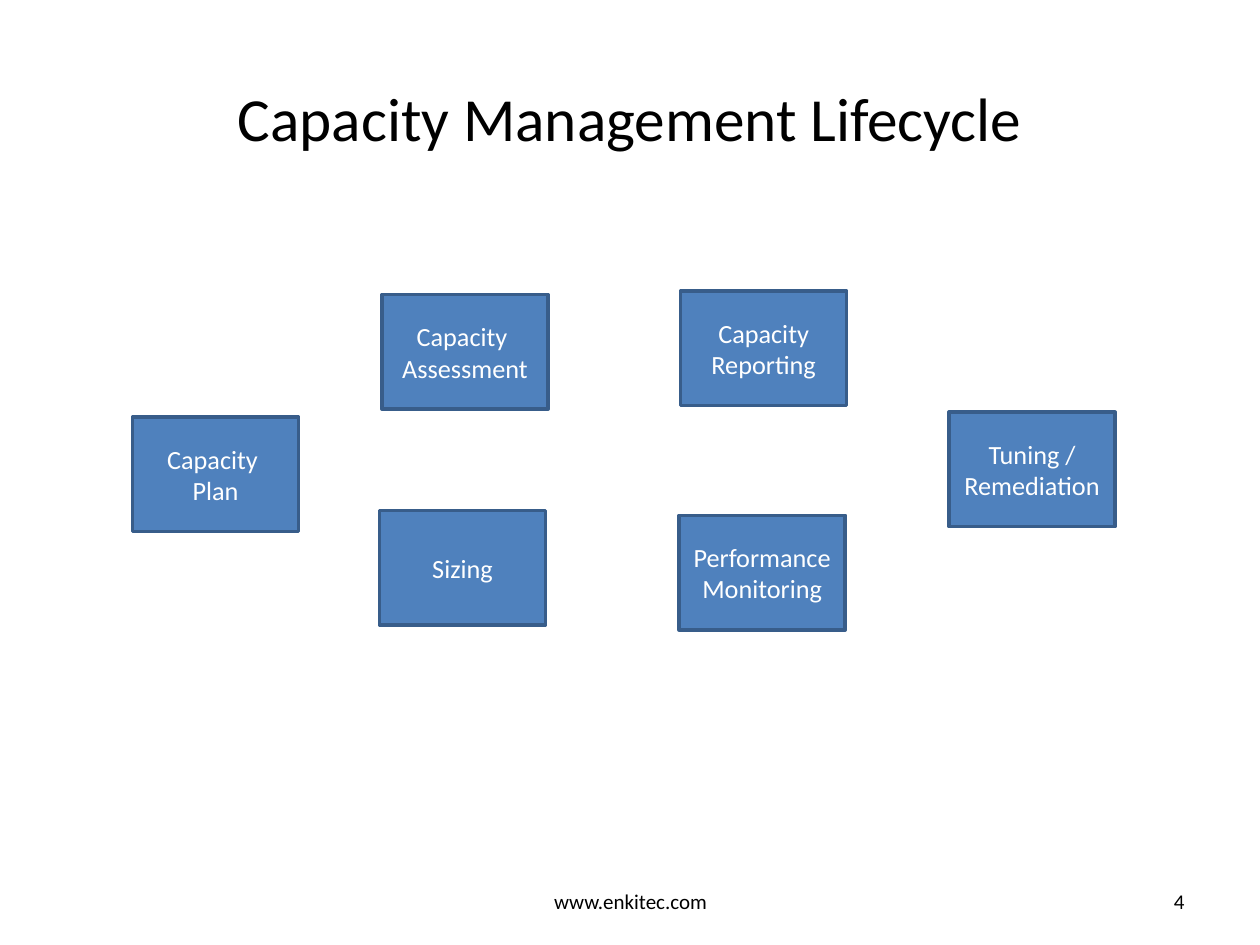
from dataclasses import dataclass

from pptx import Presentation
from pptx.dml.color import RGBColor
from pptx.enum.shapes import MSO_SHAPE
from pptx.enum.text import MSO_ANCHOR, PP_ALIGN
from pptx.util import Cm, Pt

RECTANGLE = MSO_SHAPE.RECTANGLE
MIDDLE = MSO_ANCHOR.MIDDLE
CENTER, RIGHT = PP_ALIGN.CENTER, PP_ALIGN.RIGHT

TITLE_ONLY = 5
STAGE_WIDTH, STAGE_HEIGHT = Cm(3.35), Cm(2.31)
FOOTER_TOP, FOOTER_HEIGHT = Cm(17.65), Cm(1.02)


@dataclass
class Stage:
    left: float
    top: float
    lines: list[str]


@dataclass
class FooterItem:
    left: float
    width: float
    text: str
    align: PP_ALIGN


STAGES = [
    Stage(2.67, 8.41, ["Capacity ", "Plan"]),
    Stage(13.72, 5.87, ["Capacity Reporting"]),
    Stage(7.70, 5.94, ["Capacity ", "Assessment"]),
    Stage(7.65, 10.29, ["Sizing"]),
    Stage(13.69, 10.39, ["Performance ", "Monitoring"]),
    Stage(19.13, 8.31, ["Tuning / Remediation"]),
]
FOOTER = [
    FooterItem(8.69, 8.05, "www.enkitec.com", CENTER),
    FooterItem(18.21, 5.92, "4", RIGHT),
]


def color(value: str) -> RGBColor:
    return RGBColor.from_string(value)


def write(shape, lines: list[str], size: float, ink: str, align=CENTER) -> None:
    """Put one paragraph per line into the shape, centred vertically."""
    frame = shape.text_frame
    frame.text = "\n".join(lines)
    frame.word_wrap = True
    frame.vertical_anchor = MIDDLE
    for paragraph in frame.paragraphs:
        paragraph.alignment = align
        for run in paragraph.runs:
            for name, value in {"name": "Calibri", "size": Pt(size)}.items():
                setattr(run.font, name, value)
            run.font.color.rgb = color(ink)


def place_title(slide, text: str) -> None:
    title = slide.shapes.title
    bounds = {"left": 1.27, "top": 0.76, "width": 22.86, "height": 3.18}
    for name, value in bounds.items():
        setattr(title, name, Cm(value))
    write(title, [text], 35, "000000")


def draw_stage(slide, stage: Stage) -> None:
    box = slide.shapes.add_shape(
        RECTANGLE, Cm(stage.left), Cm(stage.top), STAGE_WIDTH, STAGE_HEIGHT)
    box.shadow.inherit = False
    box.fill.solid()
    box.fill.fore_color.rgb = color("4F81BD")
    box.line.color.rgb = color("385D8A")
    box.line.width = Pt(2)
    write(box, stage.lines, 15, "FFFFFF")


def draw_footer_item(slide, item: FooterItem) -> None:
    box = slide.shapes.add_textbox(
        Cm(item.left), FOOTER_TOP, Cm(item.width), FOOTER_HEIGHT)
    write(box, [item.text], 12, "000000", item.align)


def main() -> None:
    deck = Presentation()
    deck.slide_width, deck.slide_height = Cm(25.4), Cm(19.05)
    slide = deck.slides.add_slide(deck.slide_layouts[TITLE_ONLY])

    # Title
    place_title(slide, "Capacity Management Lifecycle")

    # Web address and page number
    for item in FOOTER:
        draw_footer_item(slide, item)

    # Lifecycle stages
    for stage in STAGES:
        draw_stage(slide, stage)

    deck.save("out.pptx")


if __name__ == "__main__":
    main()
